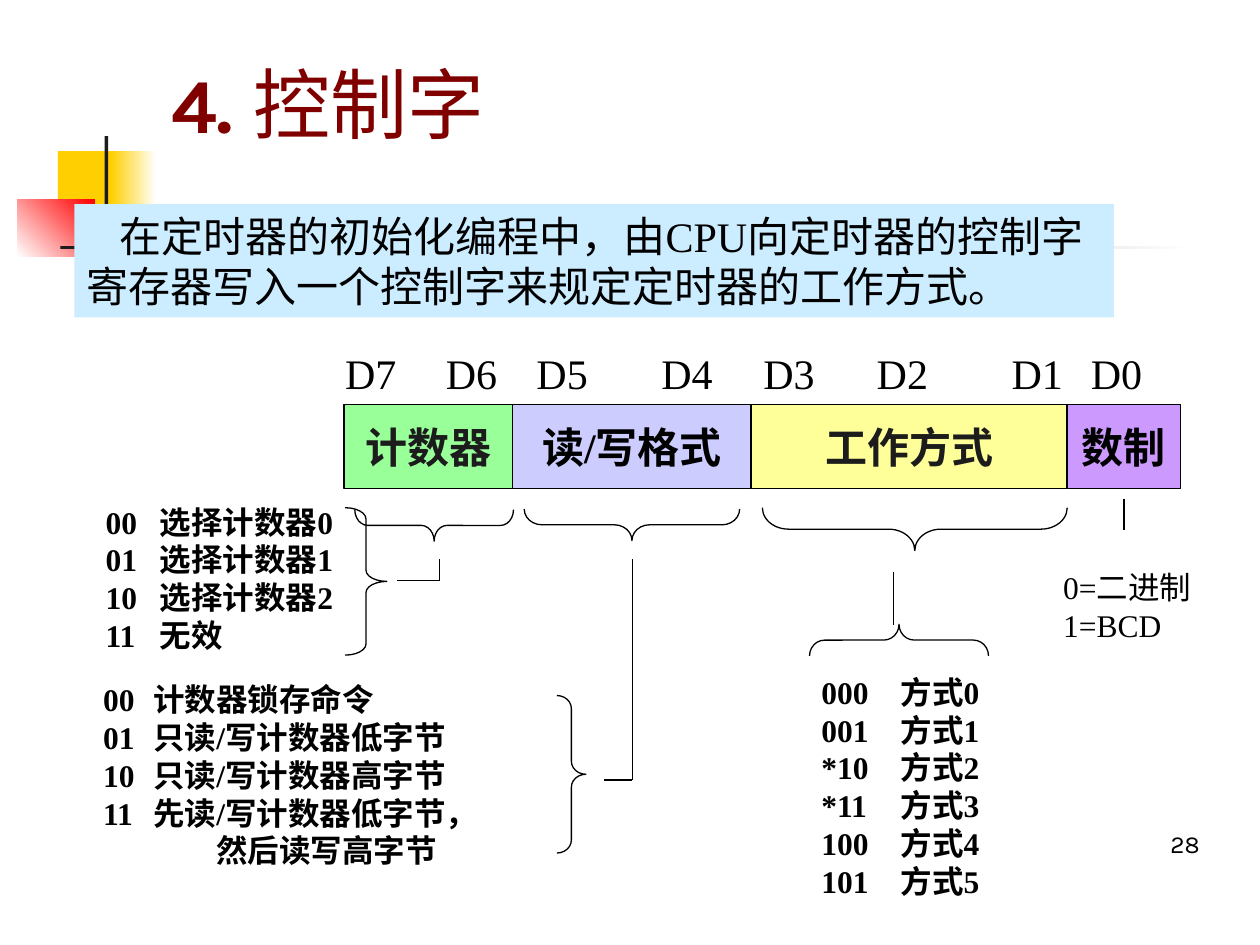
from lxml.etree import SubElement
from pptx import Presentation
from pptx.dml.color import RGBColor
from pptx.enum.shapes import MSO_CONNECTOR as Connector, MSO_SHAPE as Shape
from pptx.enum.text import MSO_ANCHOR as Anchor, PP_ALIGN as Align
from pptx.oxml.ns import qn
from pptx.util import Inches, Pt

SERIF, SANS = "Times New Roman", "Karla"
BLACK, DARK = "000000", "1C1C1C"

DECOR = [
    ((0.46, 1.2, 0.48, 0.52), ["FFCF01"], 0),
    ((0.88, 1.2, 0.36, 0.52), ["FFCF01", "FFFFFF"], 0),
    ((0.14, 1.58, 0.61, 0.46), ["FFFFFF", "FF0000"], 45),
    ((0.83, 1.08, 0.03, 1.15), [DARK], 0),
    ((0.48, 1.95, 9, 0.03), [DARK, "FFFFFF"], 0),
]
INTRO = "在定时器的初始化编程中，由CPU向定时器的控制字寄存器写入一个控制字来规定定时器的工作方式。"
FIELDS = [
    ("计数器", 1.34, "99FF99", DARK),
    ("读/写格式", 1.89, "CCCCFF", BLACK),
    ("工作方式", 2.51, "FFFF99", DARK),
    ("数制", 0.9, "CC99FF", BLACK),
]
FIELDS_LEFT, FIELDS_TOP, FIELDS_HEIGHT = 2.73, 3.21, 0.67
BIT_LEFTS = [2.64, 3.44, 4.16, 5.15, 5.96, 6.86, 7.93, 8.56]
COUNTERS = ["00\t选择计数器0", "01\t选择计数器1", "10\t选择计数器2", "11\t无效"]
FORMATS = ["00\t计数器锁存命令", "01\t只读/写计数器低字节",
           "10\t只读/写计数器高字节", "11\t先读/写计数器低字节，"]
FORMAT_TAIL = "然后读写高字节"
MODE_CODES = ["000", "001", "*10", "*11", "100", "101"]
MODES = [f"{code}\t方式{number}" for number, code in enumerate(MODE_CODES)]
RADIXES = ["0=二进制", "1=BCD"]
BRACES = [
    (Shape.RIGHT_BRACE, (2.74, 4.03, 0.33, 1.17), 0, 0.27),
    (Shape.RIGHT_BRACE, (3.32, 3.54, 0.25, 1.26), 90, 0.41),
    (Shape.RIGHT_BRACE, (4.89, 3.31, 0.25, 1.71), 90, 0.56),
    (Shape.RIGHT_BRACE, (7.09, 2.99, 0.34, 2.42), 90, 0.61),
    (Shape.RIGHT_BRACE, (4.42, 5.52, 0.23, 1.25), 0, 0.45),
    (Shape.LEFT_BRACE, (7.01, 4.37, 0.25, 1.42), 90, 0.48),
]
LINES = [
    (3.15, 4.61, 3.49, 4.61), (3.49, 4.44, 3.49, 4.61),
    (8.92, 3.96, 8.92, 4.21), (5.02, 4.44, 5.02, 6.19),
    (4.79, 6.19, 5.02, 6.19), (7.09, 4.54, 7.09, 4.96),
]


def color(code):
    """Turn a hex string into a colour."""
    return RGBColor.from_string(code)


def lengths(*values):
    """Turn numbers into inches."""
    return [Inches(value) for value in values]


def add_span(para, text, size, font=SERIF, ink=BLACK, bold=False):
    """Add one formatted run to a paragraph."""
    span = para.add_run()
    span.text = text
    span.font.size, span.font.name, span.font.bold = Pt(size), font, bold
    span.font.color.rgb = color(ink)


def add_box(slide, place, anchor=Anchor.TOP):
    """Add a wrapping text box and return its text frame."""
    frame = slide.shapes.add_textbox(*lengths(*place)).text_frame
    frame.word_wrap, frame.vertical_anchor = True, anchor
    return frame


def add_rows(slide, place, rows, bold=True, tab=None):
    """Add a text box with one paragraph per row."""
    frame = add_box(slide, place)
    for index, row in enumerate(rows):
        para = frame.add_paragraph() if index else frame.paragraphs[0]
        if tab:
            stops = SubElement(para._p.get_or_add_pPr(), qn("a:tabLst"))
            SubElement(stops, qn("a:tab"), pos=str(Inches(tab)), algn="l")
        add_span(para, row, 18, bold=bold)
    return frame


def add_shape(slide, kind, place, fills=(), angle=0, line=None):
    """Add a preset shape with a plain, gradient or empty fill."""
    shape = slide.shapes.add_shape(kind, *lengths(*place))
    shape.shadow.inherit = False
    if len(fills) > 1:
        shape.fill.gradient()
        shape.fill.gradient_angle = angle
        for stop, code in zip(shape.fill.gradient_stops, fills):
            stop.color.rgb = color(code)
    elif fills:
        shape.fill.solid()
        shape.fill.fore_color.rgb = color(fills[0])
    else:
        shape.fill.background()
    if line:
        shape.line.color.rgb, shape.line.width = color(line), Pt(0.75)
    else:
        shape.line.fill.background()
    return shape


def add_line(slide, ends):
    """Add a thin black straight line."""
    line = slide.shapes.add_connector(Connector.STRAIGHT, *lengths(*ends))
    line.line.color.rgb, line.line.width = color(BLACK), Pt(0.75)
    SubElement(line._element.spPr, qn("a:effectLst"))


def add_register(slide):
    """Draw the control word fields and their bit names."""
    left = FIELDS_LEFT
    for name, width, fill, ink in FIELDS:
        place = (left, FIELDS_TOP, width, FIELDS_HEIGHT)
        frame = add_shape(slide, Shape.RECTANGLE, place, [fill], line=BLACK).text_frame
        frame.word_wrap, frame.vertical_anchor = False, Anchor.MIDDLE
        frame.paragraphs[0].alignment = Align.CENTER
        add_span(frame.paragraphs[0], name, 24, ink=ink, bold=True)
        left += width
    for index, left in enumerate(BIT_LEFTS):
        frame = add_box(slide, (left, 2.71, 0.8, 0.5))
        add_span(frame.paragraphs[0], f"D{7 - index}", 24)


def main():
    """Build the control word slide."""
    deck = Presentation()
    deck.slide_width, deck.slide_height = lengths(10, 7.5)
    slide = deck.slides.add_slide(deck.slide_layouts[6])
    for place, fills, angle in DECOR:
        add_shape(slide, Shape.RECTANGLE, place, fills, angle)

    para = add_box(slide, (7.54, 6.36, 2.08, 0.5), Anchor.BOTTOM).paragraphs[0]
    para.alignment = Align.RIGHT
    add_span(para, "28", 14, SANS)
    para = add_box(slide, (1.26, 0.23, 8.52, 1), Anchor.BOTTOM).paragraphs[0]
    add_span(para, "4. ", 44, SANS, "800000", True)
    add_span(para, "控制字", 44, SANS, "800000")

    frame = add_shape(slide, Shape.RECTANGLE, (0.59, 1.62, 8.25, 0.9), ["CCECFF"]).text_frame
    frame.word_wrap, frame.vertical_anchor = True, Anchor.TOP
    para = frame.paragraphs[0]
    para.alignment = Align.LEFT
    para._p.get_or_add_pPr().set("indent", str(Inches(0.26)))
    add_span(para, INTRO, 24)

    add_register(slide)
    add_rows(slide, (0.74, 3.94, 2.08, 1.3), COUNTERS, tab=0.43)
    add_rows(slide, (8.34, 4.46, 1.33, 0.7), RADIXES, bold=False)
    add_rows(slide, (6.42, 5.29, 1.58, 1.9), MODES, tab=0.63)
    para = add_rows(slide, (0.72, 5.35, 3.53, 1.6), FORMATS, tab=0.4).add_paragraph()
    para._p.get_or_add_pPr().set("marL", str(Inches(0.9)))
    add_span(para, FORMAT_TAIL, 18, bold=True)

    for kind, place, turn, curve in BRACES:
        brace = add_shape(slide, kind, place, line=BLACK)
        brace.rotation, brace.adjustments[0] = turn, curve
    for ends in LINES:
        add_line(slide, ends)
    deck.save("out.pptx")


if __name__ == "__main__":
    main()
